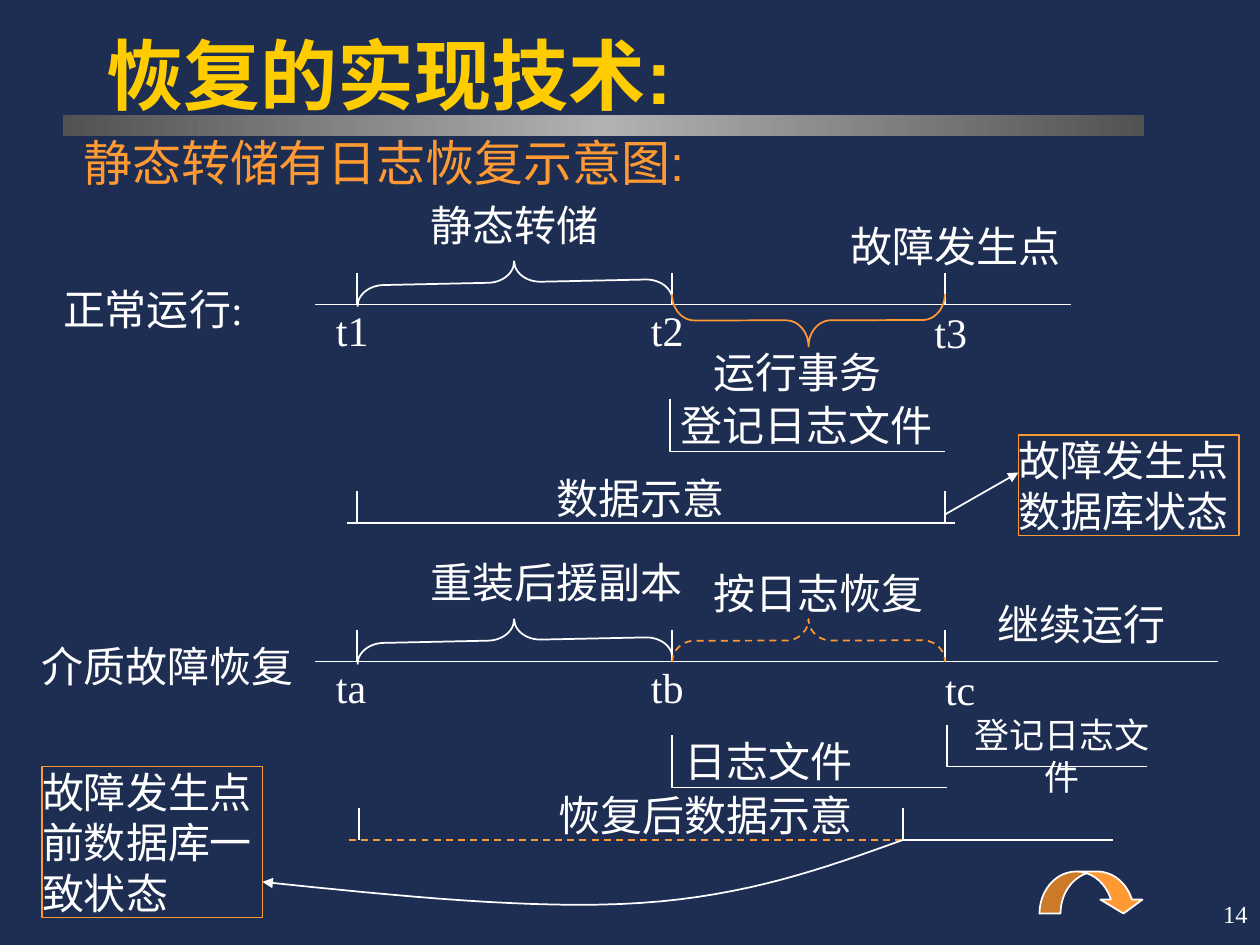
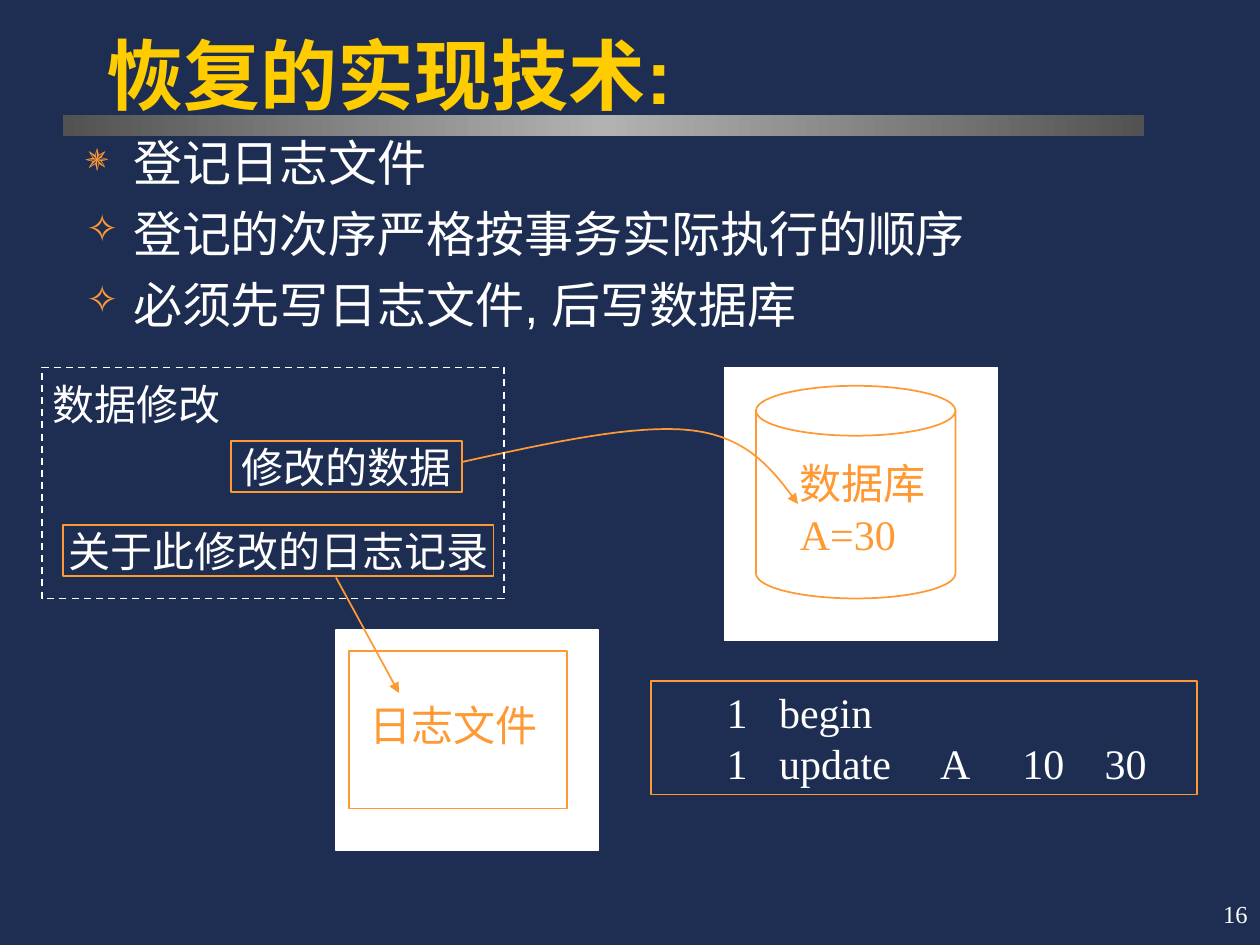
from lxml import etree
from pptx import Presentation
from pptx import util as u
from pptx.dml.color import RGBColor
from pptx.enum import dml, shapes, text
from pptx.oxml.ns import qn

COLORS = {
    "navy": "1E2E53",
    "gold": "FFCC00",
    "orange": "FF9933",
    "white": "FFFFFF",
    "bar_edge": "525252",
    "bar_middle": "B2B2B2",
}
SERIF, SANS = "Times New Roman", "Arial"
TICK = 18
ROW = 29  # height of one 24 pt text line
MARGINS = (7.2, 3.6, 7.2, 3.6)


def rgb(name):
    return RGBColor.from_string(COLORS[name])


def pts(values):
    return [u.Pt(v) for v in values]


def style_line(sp, color, dash=False, arrow=False):
    sp.line.color.rgb = rgb(color)
    sp.line.width = u.Pt(1)
    if dash:
        sp.line.dash_style = dml.MSO_LINE.DASH
    if arrow:
        ln = sp.element.spPr.find(qn("a:ln"))
        etree.SubElement(ln, qn("a:tailEnd"), type="triangle")


def write(sp, content, size=24, color="white", font=SERIF, bold=False,
          align="LEFT", anchor="TOP", insets=(0, 0, 0, 0), gap=0,
          bullets=None, tabs=()):
    """Fill a shape with one paragraph per line of content."""
    tf = sp.text_frame
    tf.word_wrap = True
    tf.vertical_anchor = text.MSO_ANCHOR[anchor]
    tf.margin_left, tf.margin_top, tf.margin_right, tf.margin_bottom = pts(insets)
    for i, line in enumerate(content.split("\n")):
        p = tf.add_paragraph() if i else tf.paragraphs[0]
        p.alignment = text.PP_ALIGN[align]
        p.space_before = u.Pt(gap if i else 0)
        if bullets:
            add_bullet(p, bullets[i])
        if tabs:
            add_tabs(p, tabs)
        r = p.add_run()
        r.text = line
        r.font.size = u.Pt(size)
        r.font.name = font
        r.font.bold = bold
        r.font.color.rgb = rgb(color)


def add_bullet(p, char):
    pPr = p._p.get_or_add_pPr()
    pPr.set("marL", str(u.Pt(27)))
    pPr.set("indent", str(-u.Pt(27)))
    clr = etree.SubElement(pPr, qn("a:buClr"))
    etree.SubElement(clr, qn("a:srgbClr"), val=COLORS["orange"])
    etree.SubElement(pPr, qn("a:buSzPct"), val="80000")
    etree.SubElement(pPr, qn("a:buChar"), char=char)


def add_tabs(p, stops):
    tab_list = etree.SubElement(p._p.get_or_add_pPr(), qn("a:tabLst"))
    for stop in stops:
        etree.SubElement(tab_list, qn("a:tab"), pos=str(u.Pt(stop)), algn="l")


def label(s, content, x, y, w, h=ROW, **fmt):
    write(s.shapes.add_textbox(*pts((x, y, w, h))), content, **fmt)


def preset(s, kind, x, y, w, h, line="orange", fill=None, dash=False):
    sp = s.shapes.add_shape(shapes.MSO_SHAPE[kind], *pts((x, y, w, h)))
    sp.shadow.inherit = False
    if fill:
        sp.fill.solid()
        sp.fill.fore_color.rgb = rgb(fill)
    else:
        sp.fill.background()
    style_line(sp, line, dash)
    return sp


def framed(s, content, x, y, w, h, **fmt):
    write(preset(s, "RECTANGLE", x, y, w, h), content, **fmt)


def line(s, x1, y1, x2, y2, color="white", dash=False, arrow=False):
    c = s.shapes.add_connector(shapes.MSO_CONNECTOR.STRAIGHT,
                               *pts((x1, y1, x2, y2)))
    style_line(c, color, dash, arrow)
    etree.SubElement(c.element.spPr, qn("a:effectLst"))


def timeline(s, y, x1, x2, ticks, color="white", dash=False):
    line(s, x1, y, x2, y, color, dash)
    for x in ticks:
        line(s, x, y - TICK, x, y)


def brace(s, x1, x2, y, h, curl, rotation, color, dash=False):
    """Horizontal brace over x1..x2, made by turning a left brace."""
    length = x2 - x1
    sp = preset(s, "LEFT_BRACE", (x1 + x2 - h) / 2, y + (h - length) / 2,
                h, length, color, dash=dash)
    sp.adjustments[0] = curl
    sp.rotation = rotation


def polyline(s, points, color="white", arrow=False):
    start, *rest = [pts(point) for point in points]
    fb = s.shapes.build_freeform(*start)
    fb.add_line_segments(rest, close=False)
    sp = fb.convert_to_shape()
    sp.shadow.inherit = False
    sp.fill.background()
    style_line(sp, color, arrow=arrow)


def corner(s, x, y, w, h):
    polyline(s, [(x, y), (x, y + h), (x + w, y + h)])


def curved_arrow(s, nodes, color):
    """Arrow along cubic curves; nodes holds a start, then three per curve."""
    steps = 16
    points = [nodes[0]]
    for k in range(0, len(nodes) - 1, 3):
        for i in range(1, steps + 1):
            t = i / steps
            weights = ((1 - t) ** 3, 3 * t * (1 - t) ** 2,
                       3 * t ** 2 * (1 - t), t ** 3)
            points.append(tuple(
                sum(b * node[axis] for b, node in zip(weights, nodes[k:k + 4]))
                for axis in (0, 1)))
    polyline(s, points, color, arrow=True)


def gradient_bar(s):
    bar = preset(s, "RECTANGLE", 36, 66, 618, 12)
    bar.line.fill.background()
    bar.fill.gradient()
    bar.fill.gradient_angle = 0
    stops = bar.element.spPr.find(".//" + qn("a:gsLst"))
    stops.clear()
    for pos, name in ((0, "bar_edge"), (50, "bar_middle"), (100, "bar_edge")):
        gs = etree.SubElement(stops, qn("a:gs"), pos=str(pos * 1000))
        etree.SubElement(gs, qn("a:srgbClr"), val=COLORS[name])


def new_slide(prs, number):
    s = prs.slides.add_slide(prs.slide_layouts[6])
    s.background.fill.solid()
    s.background.fill.fore_color.rgb = rgb("navy")
    label(s, "恢复的实现技术:", 54, 18, 612, 54, size=44, color="gold",
          font=SANS, bold=True, anchor="BOTTOM", insets=MARGINS)
    gradient_bar(s)
    label(s, str(number), 570, 504, 150, 36, size=14, align="RIGHT",
          anchor="MIDDLE", insets=MARGINS)
    return s


def recovery_timelines(prs):
    s = new_slide(prs, 14)
    label(s, "静态转储有日志恢复示意图:", 40.5, 72, 662, 42, size=28,
          color="orange", font=SANS, insets=MARGINS)

    timeline(s, 174, 180, 612, (204, 384, 540))
    timeline(s, 378, 180, 696, (204, 384, 540))
    timeline(s, 298.8, 198, 546, (204, 540))
    timeline(s, 480, 199.2, 547.2, (205.2, 516), "orange", dash=True)
    line(s, 516, 480, 636, 480)

    for y in (149.3, 353.8):
        brace(s, 204, 384, y, 24, 0.63, 88.8, "white")
    brace(s, 384, 540, 168, 30, 0.43, 269.9, "orange")
    brace(s, 384, 540, 353.8, 24.5, 0.53, 89.9, "orange", dash=True)

    for content, x, y, w in (
        ("t1", 192, 174, 24),
        ("t2", 372, 174, 24),
        ("t3", 534, 175, 24),
        ("ta", 192, 378, 24),
        ("tb", 372, 378, 24),
        ("tc", 540, 379.2, 24),
        ("正常运行:", 36, 162, 120),
        ("静态转储", 246, 114, 108),
        ("运行事务", 408, 198, 108),
        ("故障发生点", 486, 126, 126),
        ("登记日志文件", 388.8, 228, 180),
        ("数据示意", 318, 270, 108),
        ("介质故障恢复", 24, 366, 150),
        ("重装后援副本", 246, 318, 150),
        ("按日志恢复", 408, 324, 126),
        ("继续运行", 570, 342, 102),
        ("日志文件", 391, 420, 138),
        ("恢复后数据示意", 319.2, 451.4, 178.6),
    ):
        label(s, content, x, y, w)
    label(s, "登记日志文件", 549, 408, 116, 48, size=20, align="CENTER")

    corner(s, 382.8, 228, 157.2, 30)
    corner(s, 384, 420, 157.2, 30)
    corner(s, 541.2, 414, 114, 24)

    framed(s, "故障发生点数据库状态", 582, 248.4, 126, 57.6)
    line(s, 540, 294, 582, 270, arrow=True)
    framed(s, "故障发生点前数据库一致状态", 24, 438, 126, 86.4)
    curved_arrow(s, [(516, 480), (471.5, 496), (427, 512), (366, 516),
                     (305, 520), (227.5, 512), (150, 504)], "white")

    turn = preset(s, "CURVED_DOWN_ARROW", 594, 498, 60, 24, "white", "orange")
    for i, value in enumerate((0.5, 1, 0.33)):
        turn.adjustments[i] = value


def log_writing(prs):
    s = new_slide(prs, 16)
    label(s, "登记日志文件\n登记的次序严格按事务实际执行的顺序\n必须先写日志文件, 后写数据库",
          42, 72, 612, 130, size=28, font=SANS, insets=MARGINS, gap=7,
          bullets="✵✧✧")

    preset(s, "RECTANGLE", 192, 360, 150, 126, "white", "white")
    preset(s, "RECTANGLE", 414, 210, 156, 156, "white", "white")
    preset(s, "RECTANGLE", 199.4, 372, 124.6, 90)
    preset(s, "CAN", 432, 220.5, 114, 121.5).adjustments[0] = 0.25
    curved_arrow(s, [(264, 264), (314, 253), (364, 242), (396, 246),
                     (428, 250), (442, 269), (456, 288)], "orange")
    label(s, "日志文件", 204, 396, 114, 36, color="orange", insets=MARGINS)
    label(s, "数据库\nA=30", 450, 258, 96, 65, color="orange", insets=MARGINS)

    framed(s, "修改的数据", 132, 252, 132, ROW, align="CENTER")
    framed(s, "关于此修改的日志记录", 36, 300, 246, ROW, align="CENTER")
    line(s, 192, 330, 228, 396, "orange", arrow=True)
    preset(s, "RECTANGLE", 24, 210, 264, 132, "white", dash=True)
    label(s, "数据修改", 30, 216, 102)

    framed(s, "1\tbegin\n1\tupdate\tA\t10\t30", 372, 389, 312, 65,
           insets=(43.2, 3.6, 7.2, 3.6), tabs=(30, 122, 169, 216))


def main():
    prs = Presentation()
    prs.slide_width, prs.slide_height = pts((720, 540))
    recovery_timelines(prs)
    log_writing(prs)
    prs.save("out.pptx")


if __name__ == "__main__":
    main()
